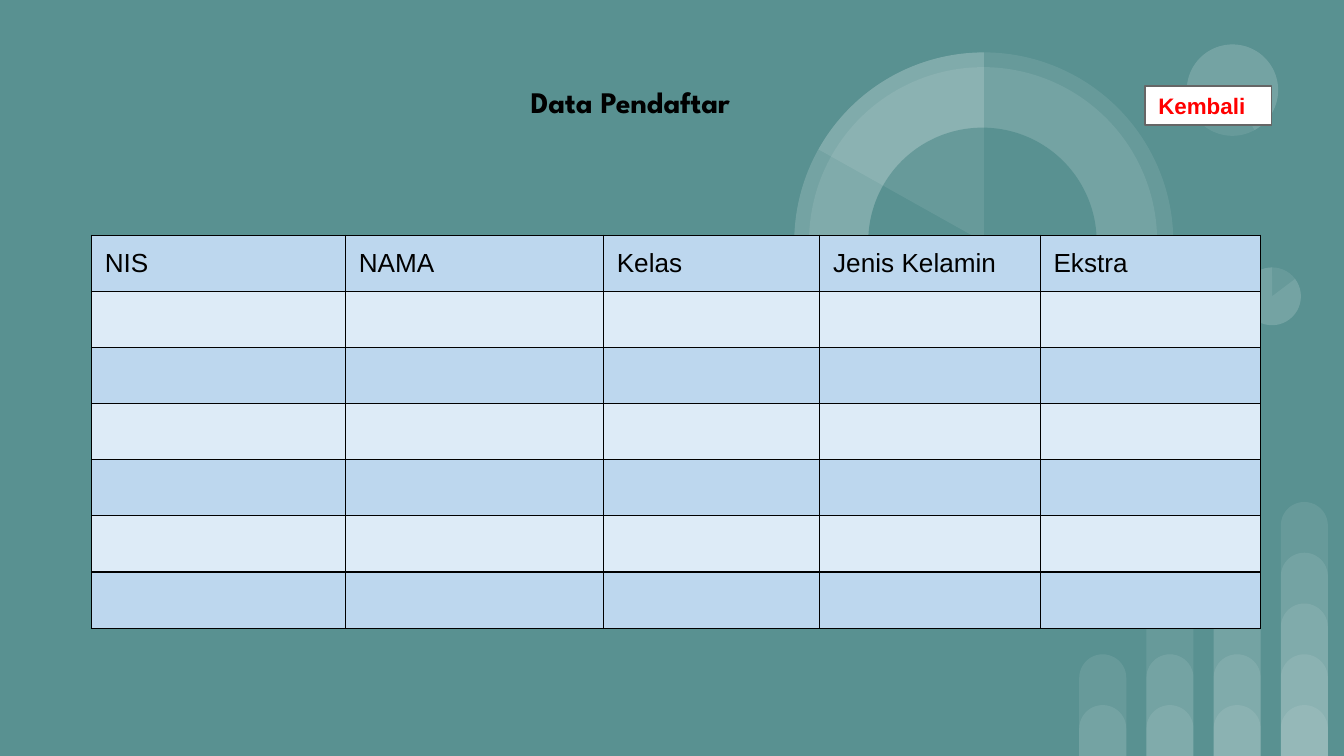
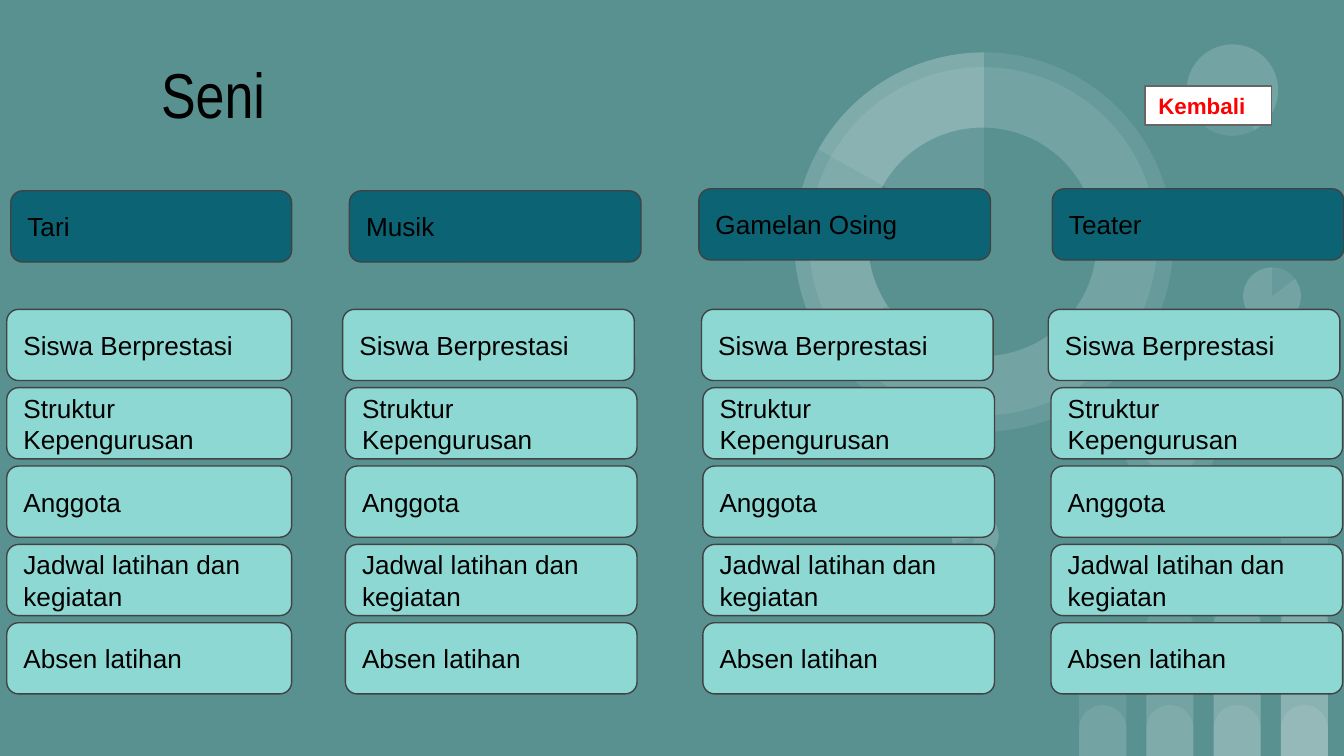
from lxml.etree import SubElement
from pptx import Presentation
from pptx.dml.color import RGBColor
from pptx.enum.shapes import MSO_SHAPE
from pptx.enum.text import MSO_ANCHOR, MSO_AUTO_SIZE, PP_ALIGN
from pptx.oxml.ns import qn
from pptx.util import Inches, Pt

BLACK = RGBColor(0x00, 0x00, 0x00)
WHITE = RGBColor(0xFF, 0xFF, 0xFF)
RED = RGBColor(0xFF, 0x00, 0x00)
SEA = RGBColor(0x59, 0x91, 0x91)
DEEP_TEAL = RGBColor(0x0B, 0x63, 0x74)
MINT = RGBColor(0x8D, 0xD8, 0xD3)
CARD_EDGE = RGBColor(0x42, 0x42, 0x42)
BUTTON_EDGE = RGBColor(0x66, 0x66, 0x66)
ROW_DARK = RGBColor(0xBD, 0xD7, 0xEE)
ROW_LIGHT = RGBColor(0xDD, 0xEB, 0xF7)

prs = Presentation()
prs.slide_width = Inches(10)
prs.slide_height = Inches(5.625)
CELL = prs.slide_width // 100  # the grid is 100 columns by 56.25 rows
ROWS = 56.25


def write_text(frame, text, *, size=14, font="Arial", color=BLACK, bold=False,
               align=PP_ALIGN.LEFT, anchor=MSO_ANCHOR.MIDDLE):
    frame.word_wrap = True
    frame.vertical_anchor = anchor
    frame.margin_left = frame.margin_right = CELL
    frame.margin_top = frame.margin_bottom = CELL
    paragraph = frame.paragraphs[0]
    paragraph.alignment = align
    run = paragraph.add_run()
    run.text = text
    run.font.size = Pt(size)
    run.font.name = font
    run.font.bold = bold
    run.font.color.rgb = color


def add_figure(shapes, kind, box, fill, *, edge=None, alpha=None, adjust=(), turn=0):
    """Add a preset shape whose box (left, top, width, height) is in grid cells."""
    figure = shapes.add_shape(kind, *[round(n * CELL) for n in box])
    figure.shadow.inherit = False
    figure.rotation = turn
    for i, value in enumerate(adjust):
        figure.adjustments[i] = value
    figure.fill.solid()
    figure.fill.fore_color.rgb = fill
    if alpha:
        tint = figure.element.spPr.find(qn("a:solidFill"))[0]
        SubElement(tint, qn("a:alpha"), val=str(alpha * 1000))
    if edge:
        figure.line.color.rgb = edge
        figure.line.width = Pt(0.75)
    else:
        figure.line.fill.background()
    return figure


# Background circles: left, top, diameter, turn, pie angles (none = full disc)
DISCS = [
    (92.5, 19.9, 4.3, 0, ()),
    (70.8, 38.1, 3.5, 196.2, ()),
    (83.6, 29.6, 6.9, 90, ()),
    (83.6, 29.6, 6.9, 90, (82.45, 162.46)),
    (85, 30.9, 4.3, 90, ()),
    (92.5, 19.9, 4.3, 0, (193.77, 162)),
    (88.3, 3.3, 6.8, 215.9, ()),
    (88.3, 3.3, 6.8, 215.9, (193.77, 123.14)),
    (59.1, 3.9, 28.2, 0, ()),
    (60.2, 5, 25.9, 34.1, ()),
    (59.1, 3.9, 28.2, 0, (88.01, 162)),
    (64.6, 9.5, 17, 34.1, ()),
    (59.1, 3.9, 28.2, 0, (125.54, 162)),
    (70.8, 38.1, 3.5, 196.2, (193.77, 162)),
]
RING_HOLE = DISCS[11]

prs.slide_master.background.fill.solid()
prs.slide_master.background.fill.fore_color.rgb = SEA
blank = prs.slide_layouts[6]
registrants, arts = [prs.slides.add_slide(blank) for _ in range(2)]

# Shared backdrop: rising bars and circles
for slide in (registrants, arts):
    bars = slide.shapes.add_group_shape().shapes
    for column in range(4):
        for level in range(1, column + 3):
            height = 3.78 * level
            add_figure(bars, MSO_SHAPE.ROUND_2_SAME_RECTANGLE,
                       (80.3 + 5 * column, ROWS - height, 3.5, height),
                       WHITE, alpha=9, adjust=(0.5, 0))
    circles = slide.shapes.add_group_shape().shapes
    for disc in DISCS:
        left, top, diameter, turn, angles = disc
        solid = disc is RING_HOLE
        add_figure(circles, MSO_SHAPE.PIE if angles else MSO_SHAPE.OVAL,
                   (left, top, diameter, diameter), SEA if solid else WHITE,
                   alpha=None if solid else 9, adjust=angles, turn=turn)

# Slide 1: empty register of applicants
HEADINGS = {"NIS": 18.9, "NAMA": 19.2, "Kelas": 16.1, "Jenis Kelamin": 16.4, "Ekstra": 16.4}
ROW_COUNT = 7
ROW_HEIGHT = 4.18
register = registrants.shapes.add_table(
    ROW_COUNT, len(HEADINGS), round(6.8 * CELL), round(17.5 * CELL),
    round(sum(HEADINGS.values()) * CELL), round(ROW_COUNT * ROW_HEIGHT * CELL)).table
for column, width in zip(register.columns, HEADINGS.values()):
    column.width = round(width * CELL)
for r, row in enumerate(register.rows):
    row.height = round(ROW_HEIGHT * CELL)
    for cell, heading in zip(row.cells, HEADINGS):
        cell.vertical_anchor = MSO_ANCHOR.MIDDLE
        cell.margin_left = cell.margin_right = CELL
        cell.margin_top = cell.margin_bottom = CELL // 2
        if r == 0:
            write_text(cell.text_frame, heading)
            # write_text sets the frame's own insets; a cell keeps these instead
            body = cell.text_frame._txBody.find(qn("a:bodyPr"))
            body.attrib.clear()
        properties = cell._tc.get_or_add_tcPr()
        for side in ("a:lnL", "a:lnR", "a:lnT", "a:lnB"):
            border = SubElement(properties, qn(side), w=str(Pt(0.75)))
            SubElement(SubElement(border, qn("a:solidFill")), qn("a:srgbClr"), val=str(BLACK))
        cell.fill.solid()
        cell.fill.fore_color.rgb = ROW_LIGHT if r % 2 else ROW_DARK

# Slide 2: one column of cards for each art
ARTS = [  # name, heading box, left of first card, left of other cards, card width
    ("Tari", (0.8, 14.2, 20.9, 5.3), 0.5, 0.5, 21.2),
    ("Musik", (26, 14.2, 21.7, 5.3), 25.5, 25.7, 21.7),
    ("Gamelan Osing", (52, 14.05, 21.7, 5.3), 52.2, 52.3, 21.7),
    ("Teater", (78.3, 14.05, 21.7, 5.3), 78, 78.2, 21.7),
]
CARDS = ["Siswa Berprestasi", "Struktur Kepengurusan", "Anggota",
         "Jadwal latihan dan kegiatan", "Absen latihan"]
for art, heading_box, first_left, left, width in ARTS:
    heading = add_figure(arts.shapes, MSO_SHAPE.ROUNDED_RECTANGLE, heading_box,
                         DEEP_TEAL, edge=CARD_EDGE)
    write_text(heading.text_frame, art)
    for i, label in enumerate(CARDS):
        card = add_figure(arts.shapes, MSO_SHAPE.ROUNDED_RECTANGLE,
                          (left if i else first_left, 23.02 + 5.83 * i, width, 5.3),
                          MINT, edge=CARD_EDGE)
        write_text(card.text_frame, label)

# Titles and back buttons
TITLES = [
    (registrants, "Data Pendaftar", (27.2, 5.2, 39.4, 4.7),
     dict(size=16, font="League Spartan", bold=True, align=PP_ALIGN.CENTER)),
    (arts, "Seni", (11, 3.1, 28.2, 7.7), dict(size=34, font="Arial Narrow")),
]
for slide, title, box, style in TITLES:
    back = add_figure(slide.shapes, MSO_SHAPE.RECTANGLE, (85.2, 6.4, 9.4, 2.9),
                      WHITE, edge=BUTTON_EDGE)
    write_text(back.text_frame, "Kembali", size=12, color=RED, bold=True)
    frame = slide.shapes.add_textbox(*[round(n * CELL) for n in box]).text_frame
    write_text(frame, title, anchor=MSO_ANCHOR.TOP, **style)
    frame.auto_size = MSO_AUTO_SIZE.SHAPE_TO_FIT_TEXT

prs.save("out.pptx")
